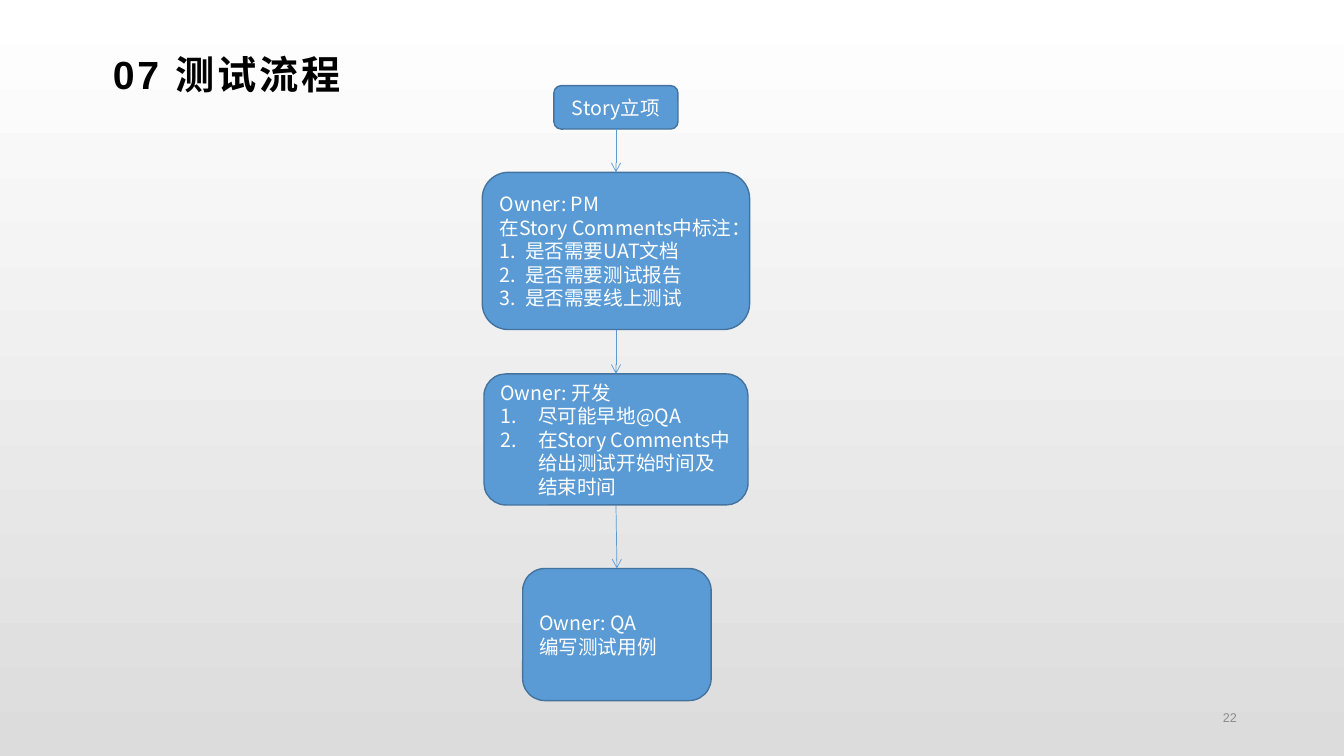
from itertools import pairwise
from lxml import etree
from pptx import Presentation
from pptx.dml.color import RGBColor
from pptx.enum.shapes import MSO_CONNECTOR, MSO_SHAPE
from pptx.enum.text import MSO_ANCHOR, PP_ALIGN
from pptx.oxml.ns import qn
from pptx.util import Pt

ROUND = MSO_SHAPE.ROUNDED_RECTANGLE
STRAIGHT = MSO_CONNECTOR.STRAIGHT
LEFT, CENTER, RIGHT = PP_ALIGN.LEFT, PP_ALIGN.CENTER, PP_ALIGN.RIGHT
TOP, MIDDLE = MSO_ANCHOR.TOP, MSO_ANCHOR.MIDDLE

BLACK = RGBColor(0x00, 0x00, 0x00)
WHITE = RGBColor(0xFF, 0xFF, 0xFF)
SILVER = RGBColor(0xDC, 0xDC, 0xDC)
GRAY = RGBColor(0x8C, 0x8C, 0x8C)
BLUE = RGBColor(0x5B, 0x9B, 0xD5)
NAVY = RGBColor(0x43, 0x73, 0x9E)
LATIN, HAN = "Arial", "Noto Sans CJK SC"

STEPS = [
    (440, 61.2, 88.6, 31, CENTER, 0, ["Story立项"], []),
    (440, 123.1, 191, 112.3, LEFT, 18,
     ["Owner: PM", "在Story Comments中标注："],
     ["是否需要UAT文档", "是否需要测试报告", "是否需要线上测试"]),
    (440, 267.1, 188.6, 93.6, LEFT, 27, ["Owner: 开发"],
     ["尽可能早地@QA", "在Story Comments中给出测试开始时间及结束时间"]),
    (440.7, 406.1, 134.6, 94.3, LEFT, 0, ["Owner: QA", "编写测试用例"], []),
]


def add_run(para, text, size, font, color, bold=False):
    run = para.add_run()
    run.text = text
    face = run.font
    face.size, face.name, face.bold = Pt(size), font, bold
    face.color.rgb = color
    props = run._r.get_or_add_rPr()
    etree.SubElement(props, qn("a:ea")).set("typeface", HAN)
    return props


def add_label(slide, box, anchor, align):
    frame = slide.shapes.add_textbox(*map(Pt, box)).text_frame
    frame.word_wrap = True
    frame.vertical_anchor = anchor
    para = frame.paragraphs[0]
    para.alignment = align
    return frame, para


def add_title(slide, box):
    frame, para = add_label(slide, box, TOP, LEFT)
    frame.margin_left, frame.margin_right = Pt(8), Pt(6)
    add_run(para, "07 测试流程", 28, LATIN, BLACK, True).set("spc", "200")


def add_number(slide, box):
    para = add_label(slide, box, MIDDLE, RIGHT)[1]
    add_run(para, "22", 9, LATIN, GRAY)


def set_list(para, indent):
    props = para._p.get_or_add_pPr()
    props.set("marL", str(Pt(indent)))
    props.set("indent", str(Pt(-indent)))
    etree.SubElement(props, qn("a:buFont")).set("typeface", HAN)
    etree.SubElement(props, qn("a:buAutoNum")).set("type", "arabicPeriod")


def add_step(slide, mid, top, width, height, align, indent, heads, items):
    box = (mid - width / 2, top, width, height)
    step = slide.shapes.add_shape(ROUND, *map(Pt, box))
    step.shadow.inherit = False
    step.fill.solid()
    step.fill.fore_color.rgb = BLUE
    step.line.color.rgb = NAVY
    step.line.width = Pt(1)
    frame = step.text_frame
    frame.word_wrap = True
    frame.vertical_anchor = MIDDLE
    for i, text in enumerate(heads + items):
        para = frame.add_paragraph() if i else frame.paragraphs[0]
        para.alignment = align
        if i >= len(heads):
            set_list(para, indent)
        add_run(para, text, 14, HAN, WHITE)
    return step


def add_arrow(slide, start, end):
    arrow = slide.shapes.add_connector(STRAIGHT, 0, 0, 0, 0)
    arrow.begin_connect(start, 2)
    arrow.end_connect(end, 0)
    arrow.line.color.rgb = BLUE
    arrow.line.width = Pt(0.5)
    props = arrow._element.spPr
    etree.SubElement(props.find(qn("a:ln")), qn("a:tailEnd")).set("type", "arrow")
    etree.SubElement(props, qn("a:effectLst"))


def add_flow(slide, steps):
    shapes = [add_step(slide, *step) for step in steps]
    for start, end in pairwise(shapes):
        add_arrow(slide, start, end)


def set_back(slide):
    fill = slide.background.fill
    fill.gradient()
    fill.gradient_angle = 270
    for stop, color, place in zip(fill.gradient_stops, (WHITE, SILVER), (0, 1)):
        stop.color.rgb = color
        stop.position = place


deck = Presentation()
deck.slide_width, deck.slide_height = Pt(960), Pt(540)
page = deck.slides.add_slide(deck.slide_layouts[6])
set_back(page)
add_title(page, (72.7, 32.4, 384.5, 44.6))
add_flow(page, STEPS)
add_number(page, (678.2, 499.7, 212.4, 25.2))
deck.save("out.pptx")
